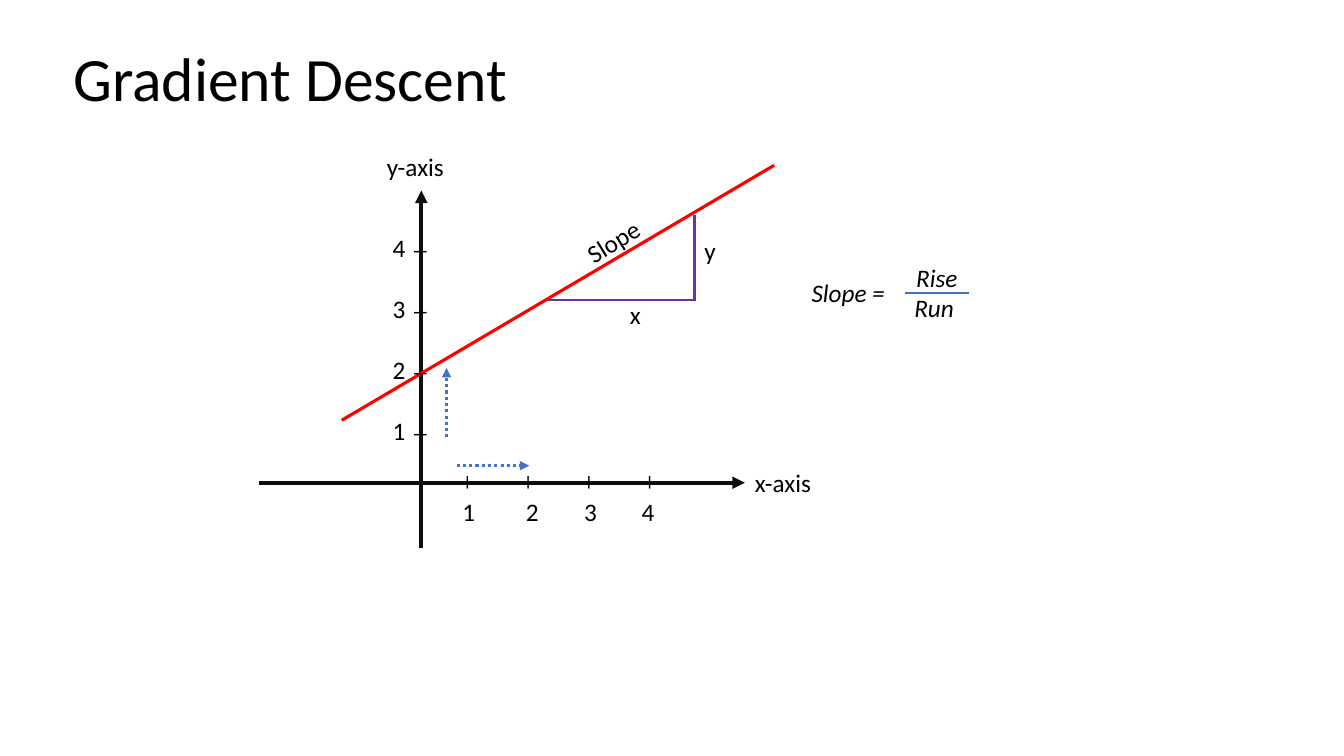
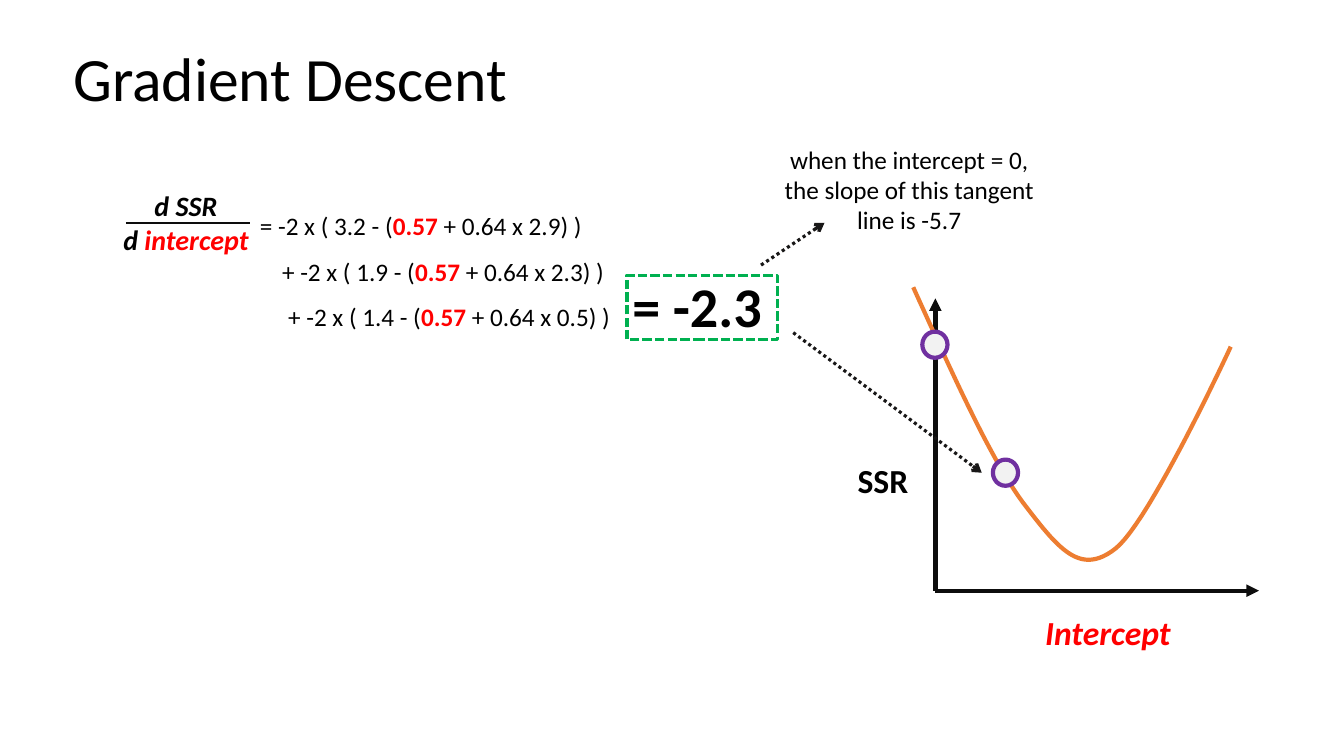
"""Build two gradient descent slides: slope of a line, and the SSR curve."""
from lxml.etree import SubElement
from pptx import Presentation
from pptx.dml.color import RGBColor
from pptx.enum.dml import MSO_LINE
from pptx.enum.shapes import MSO_CONNECTOR, MSO_SHAPE
from pptx.enum.text import MSO_ANCHOR as ANCHOR, PP_ALIGN as ALIGN
from pptx.oxml.ns import qn
from pptx.util import Inches, Pt

FONT = "Calibri"
BLACK = RGBColor(0x00, 0x00, 0x00)
AXIS = RGBColor(0x0D, 0x0D, 0x0D)
POINTER = RGBColor(0x18, 0x17, 0x17)
RED = RGBColor(0xFF, 0x00, 0x00)
BLUE = RGBColor(0x44, 0x72, 0xC4)
PURPLE = RGBColor(0x70, 0x30, 0xA0)
GREEN = RGBColor(0x00, 0xB0, 0x50)
ORANGE = RGBColor(0xED, 0x7D, 0x31)
PALE = RGBColor(0xF2, 0xF2, 0xF2)
TICK_SPACE = 21.8
HIGHLIGHT = {"color": RED, "bold": True}


def write(shapes, box, *paragraphs, size=18, color=BLACK, bold=False,
          italic=False, align=ALIGN.LEFT, anchor=ANCHOR.TOP, spacing=1.0,
          after=0, indents=(), rotation=0):
    """Add a text box; a paragraph is a string or a list of (text, format) runs."""
    label = shapes.add_textbox(*map(Inches, box))
    label.rotation = rotation
    frame = label.text_frame
    frame.word_wrap = True
    frame.vertical_anchor = anchor
    for index, content in enumerate(paragraphs):
        paragraph = frame.paragraphs[0] if index == 0 else frame.add_paragraph()
        paragraph.alignment = align
        paragraph.line_spacing = spacing
        paragraph.space_after = Pt(after)
        if indents:
            paragraph._p.get_or_add_pPr().set("marL", str(Inches(indents[index])))
        runs = [(content, {})] if isinstance(content, str) else content
        for text, changes in runs:
            run = paragraph.add_run()
            run.text = text
            run.font.name = FONT
            run.font.size = Pt(size)
            run.font.bold = changes.get("bold", bold)
            run.font.italic = italic
            run.font.color.rgb = changes.get("color", color)


def stroke(line, color, width, dash=None):
    """Set the colour, width and dash of a line."""
    line.color.rgb = color
    line.width = Pt(width)
    if dash:
        line.dash_style = dash


def connect(shapes, start, end, color, width, dash=None, head=None):
    """Draw a straight line with an optional arrowhead at its end."""
    link = shapes.add_connector(
        MSO_CONNECTOR.STRAIGHT, *map(Inches, (*start, *end)))
    stroke(link.line, color, width, dash)
    if head:
        SubElement(link.line._get_or_add_ln(), qn("a:tailEnd"), type=head)
    SubElement(link._element.spPr, qn("a:effectLst"))


def outline(shapes, kind, box, color, width, fill=None, dash=None):
    """Add an outlined preset shape, filled only when a fill is given."""
    figure = shapes.add_shape(kind, *map(Inches, box))
    figure.shadow.inherit = False
    if fill:
        figure.fill.solid()
        figure.fill.fore_color.rgb = fill
    else:
        figure.fill.background()
    stroke(figure.line, color, width, dash)


def curve(shapes, start, segments, color, width, steps=24):
    """Draw a chain of cubic Bezier segments as an open outline."""
    points = [start]
    for first, second, end in segments:
        origin = points[-1]
        for step in range(1, steps + 1):
            t = step / steps
            weights = ((1 - t) ** 3, 3 * t * (1 - t) ** 2, 3 * t * t * (1 - t), t ** 3)
            controls = (origin, first, second, end)
            points.append(tuple(
                sum(w * c[axis] for w, c in zip(weights, controls))
                for axis in (0, 1)))
    scaled = [(Inches(x), Inches(y)) for x, y in points]
    builder = shapes.build_freeform(*scaled[0])
    builder.add_line_segments(scaled[1:], close=False)
    path = builder.convert_to_shape()
    path.shadow.inherit = False
    path.fill.background()
    stroke(path.line, color, width)


def axis_arrow(shapes, start, end):
    """Draw a coordinate axis."""
    connect(shapes, start, end, AXIS, 3, head="triangle")


def titled_slide(deck):
    """Add a blank slide with the shared title and return its shapes."""
    shapes = deck.slides.add_slide(deck.slide_layouts[6]).shapes
    write(shapes, (0.63, 0.08, 6.82, 1.45), "Gradient Descent",
          size=44, anchor=ANCHOR.MIDDLE, spacing=0.9)
    return shapes


def ticks(shapes):
    """Mark and number both axes from 1 to 4."""
    for box, marks, rotation in (((3.92, 2.18, 0.5, 2.22), "____", 0),
                                 ((5.41, 3.68, 0.5, 2.22), "____", 90),
                                 ((3.71, 2.26, 0.5, 2.22), "4321", 0)):
        write(shapes, box, *marks, align=ALIGN.CENTER, after=TICK_SPACE,
              rotation=rotation)
    for number, center in enumerate((4.65, 5.28, 5.86, 6.43), start=1):
        write(shapes, (center - 0.25, 4.87, 0.5, 0.4), str(number),
              align=ALIGN.CENTER)


def slope_slide(deck):
    """Explain slope as rise over run."""
    shapes = titled_slide(deck)
    axis_arrow(shapes, (4.18, 5.44), (4.18, 1.89))
    axis_arrow(shapes, (2.57, 4.79), (7.39, 4.79))
    connect(shapes, (3.39, 4.17), (7.68, 1.64), RED, 2.25)
    ticks(shapes)
    for box, text in (((3.74, 1.45, 0.87, 0.4), "y-axis"),
                      ((7.39, 4.59, 0.87, 0.4), "x-axis"),
                      ((6.15, 2.92, 0.35, 0.4), "x"),
                      ((6.89, 2.29, 0.35, 0.4), "y")):
        write(shapes, box, text)
    write(shapes, (5.7, 2.18, 0.79, 0.4), "Slope", rotation=328.4)

    formula = shapes.add_group_shape().shapes
    write(formula, (7.93, 2.7, 0.97, 0.4), "Slope =",
          italic=True, align=ALIGN.CENTER)
    write(formula, (8.81, 2.55, 0.97, 0.71), "Rise", "Run ",
          italic=True, align=ALIGN.CENTER)
    connect(formula, (8.98, 2.91), (9.61, 2.91), BLUE, 1.5)

    for start, end in (((4.43, 4.34), (4.43, 3.65)), ((4.53, 4.62), (5.25, 4.62))):
        connect(shapes, start, end, BLUE, 2.25, MSO_LINE.ROUND_DOT, "triangle")
    for start, end in (((5.43, 2.98), (6.89, 2.98)), ((6.89, 2.99), (6.89, 2.13))):
        connect(shapes, start, end, PURPLE, 1.5)


def derivative(shapes):
    """Write the derivative of SSR and its value."""
    fraction = shapes.add_group_shape().shapes
    write(fraction, (1.08, 1.82, 1.53, 0.77), "d SSR",
          [("d ", {}), ("intercept", {"color": RED})],
          size=20, bold=True, italic=True, align=ALIGN.CENTER)
    connect(fraction, (1.25, 2.21), (2.48, 2.21), AXIS, 1.5)

    terms = [[(f"{sign} -2 x ( {observed} - (", {}), ("0.57", HIGHLIGHT),
              (f" + 0.64 x {weight}) )", {})]
             for sign, observed, weight in (("=", "3.2", "2.9"), ("+", "1.9", "2.3"),
                                            ("+", "1.4", "0.5"))]
    write(shapes, (2.48, 1.89, 3.7, 1.42), *terms,
          spacing=1.5, indents=(0, 0.22, 0.28))
    write(shapes, (6.12, 2.64, 1.59, 0.77), "= -2.3", size=40, bold=True,
          align=ALIGN.CENTER, anchor=ANCHOR.MIDDLE)
    outline(shapes, MSO_SHAPE.RECTANGLE, (6.22, 2.73, 1.49, 0.64),
            GREEN, 2.25, dash=MSO_LINE.SQUARE_DOT)


def ssr_plot(shapes):
    """Sketch SSR against the intercept with two marked points."""
    plot = shapes.add_group_shape().shapes
    origin = (9.28, 5.86)
    axis_arrow(plot, origin, (9.28, 2.96))
    axis_arrow(plot, origin, (12.49, 5.86))
    write(plot, (8.41, 4.51, 1.04, 0.5), "SSR", size=24, bold=True)
    write(plot, (10.27, 6.02, 1.5, 0.5), "Intercept",
          size=24, color=RED, bold=True, italic=True)
    curve(plot, (9.06, 2.85),
          [((9.46, 3.73), (9.85, 4.61), (10.19, 5.04)),
           ((10.52, 5.47), (10.73, 5.71), (11.07, 5.44)),
           ((11.41, 5.17), (12.21, 3.44), (12.21, 3.44))], ORANGE, 3)
    for left, top in ((9.15, 3.29), (9.85, 4.56)):
        outline(plot, MSO_SHAPE.OVAL, (left, top, 0.25, 0.26), PURPLE, 3, fill=PALE)


def descent_slide(deck):
    """Relate the derivative to the tangent on the SSR curve."""
    shapes = titled_slide(deck)
    derivative(shapes)
    write(shapes, (7.68, 1.38, 2.68, 1.01),
          "when the intercept = 0, the slope of this tangent line is -5.7",
          align=ALIGN.CENTER)
    ssr_plot(shapes)
    for start, end in (((7.55, 2.63), (8.18, 2.21)), ((7.87, 3.3), (9.74, 4.69))):
        connect(shapes, start, end, POINTER, 2.25, MSO_LINE.ROUND_DOT, "arrow")


def main():
    """Build and save the deck."""
    deck = Presentation()
    deck.slide_width = Inches(40 / 3)
    deck.slide_height = Inches(7.5)
    slope_slide(deck)
    descent_slide(deck)
    deck.save("out.pptx")


if __name__ == "__main__":
    main()
